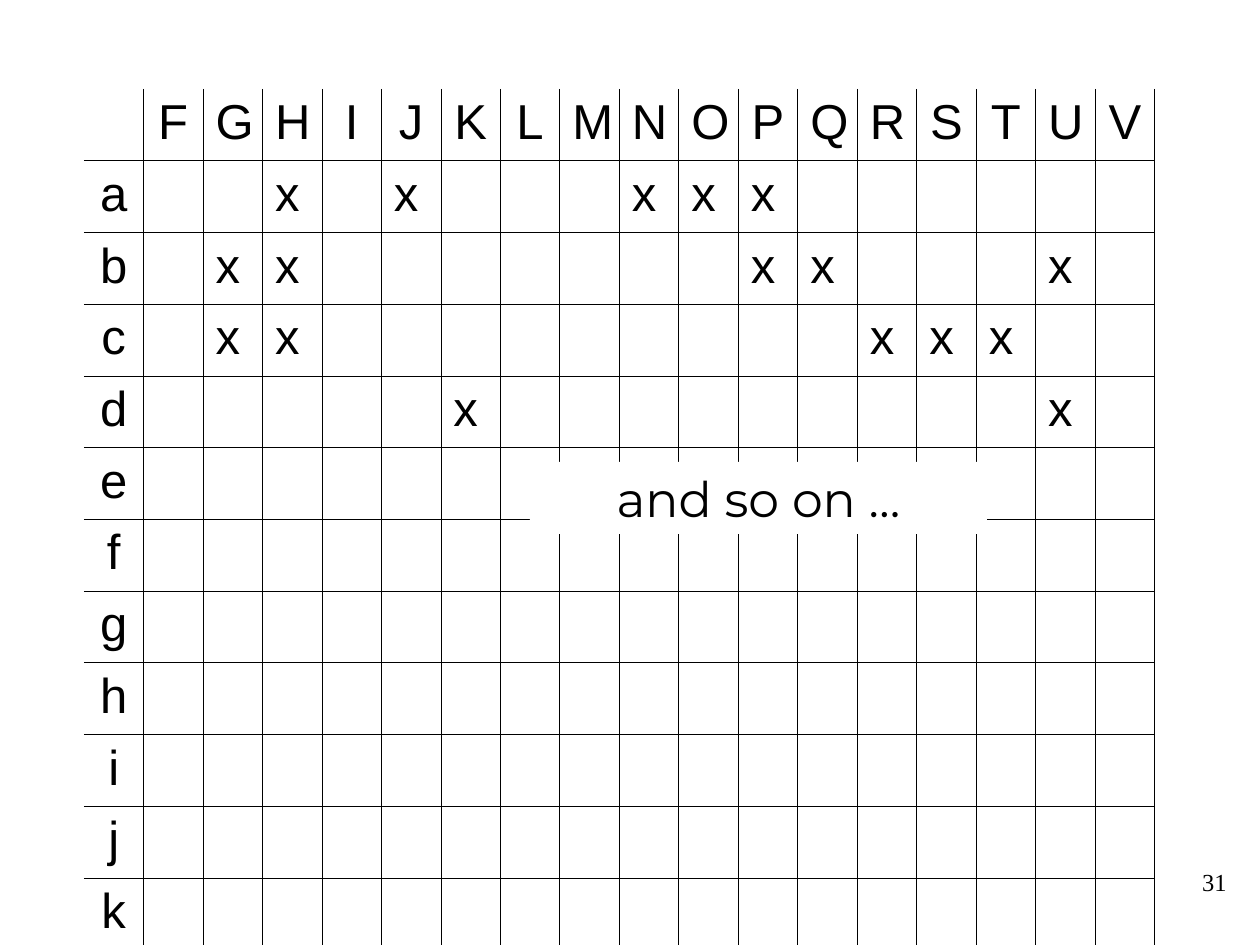
from lxml import etree
from pptx import Presentation
from pptx.dml.color import RGBColor
from pptx.enum.shapes import MSO_SHAPE
from pptx.enum.text import MSO_ANCHOR, MSO_AUTO_SIZE, PP_ALIGN
from pptx.oxml.ns import qn
from pptx.util import Emu, Pt

RECT = MSO_SHAPE.RECTANGLE
TOP = MSO_ANCHOR.TOP
GROW = MSO_AUTO_SIZE.SHAPE_TO_FIT_TEXT
LEFT, CENTER, RIGHT = PP_ALIGN.LEFT, PP_ALIGN.CENTER, PP_ALIGN.RIGHT

PX = 914400 // 126
BLACK, WHITE = "000000", "FFFFFF"
THIN, THICK = Pt(0.45), Pt(1.08)
NO_STYLE = "{2D5ABB26-0587-4C30-8999-92F81FD0307C}"

COLS = " FGHIJKLMNOPQRSTUV"
ROWS = " abcdefghijk"
MARKS = {"a": "HJNOP", "b": "GHPQU", "c": "GHRST", "d": "KU"}


def write(tf, text, size, font, align):
    tf.text = text
    p = tf.paragraphs[0]
    p.alignment = align
    f = p.runs[0].font
    f.size, f.name = Pt(size), font
    f.color.rgb = RGBColor.from_string(BLACK)


def border(cell, side, width):
    ln = etree.SubElement(cell._tc.get_or_add_tcPr(), qn("a:ln" + side), w=str(width))
    fill = etree.SubElement(ln, qn("a:solidFill"))
    etree.SubElement(fill, qn("a:srgbClr"), val=BLACK)


prs = Presentation()
prs.slide_width, prs.slide_height = Emu(1260 * PX), Emu(945 * PX)
s = prs.slides.add_slide(prs.slide_layouts[6])

# Matrix table
frame = s.shapes.add_table(len(ROWS), len(COLS), 84 * PX, 89 * PX, 1071 * PX, 861 * PX)
tbl = frame.table
tbl.first_row = tbl.horz_banding = False
tbl._tbl.tblPr.find(qn("a:tableStyleId")).text = NO_STYLE

for i, row in enumerate(ROWS):
    for j, col in enumerate(COLS):
        cell = tbl.cell(i, j)

        # Inner grid, with a heavier right and bottom edge
        if j > 0:
            border(cell, "L", THIN)
        border(cell, "R", THICK if j == len(COLS) - 1 else THIN)
        if i > 0:
            border(cell, "T", THIN)
        border(cell, "B", THICK if i == len(ROWS) - 1 else THIN)
        cell.fill.background()

        # Centred headings, left-aligned marks
        if i == 0 and j > 0:
            write(cell.text_frame, col, 28, "Arial", CENTER)
        elif j == 0 and i > 0:
            write(cell.text_frame, row, 28, "Arial", CENTER)
        elif col in MARKS.get(row, ""):
            write(cell.text_frame, "x", 28, "Arial", LEFT)

# Label over the grid
sp = s.shapes.add_shape(RECT, 530 * PX, 462 * PX, 457 * PX, 72 * PX)
sp.shadow.inherit = False
sp.fill.solid()
sp.fill.fore_color.rgb = RGBColor.from_string(WHITE)
sp.line.fill.background()
tf = sp.text_frame
tf.word_wrap, tf.auto_size, tf.vertical_anchor = True, GROW, TOP
write(tf, "and so on …", 28, "Montserrat", CENTER)

# Page number
tb = s.shapes.add_textbox(976 * PX, 861 * PX, 263 * PX, 63 * PX)
tb.text_frame.word_wrap = True
write(tb.text_frame, "31", 14, "Times New Roman", RIGHT)

prs.save("out.pptx")
